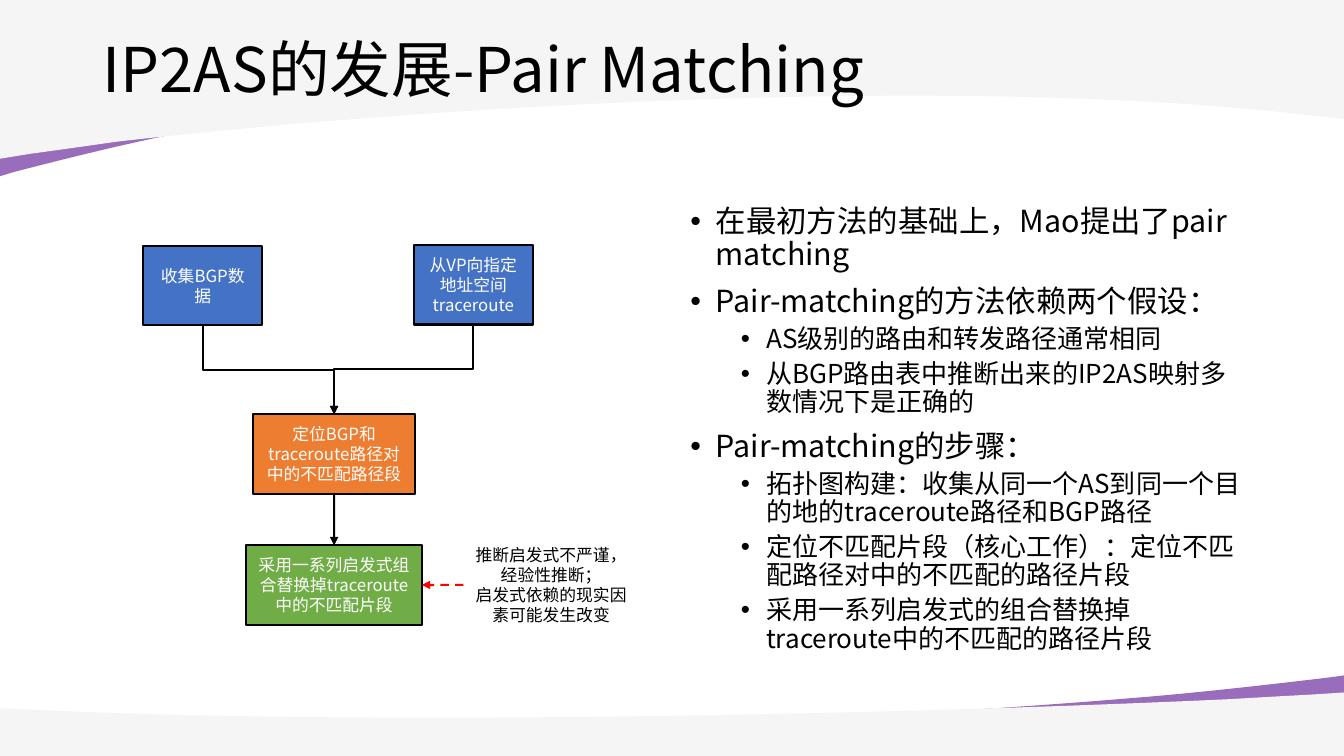
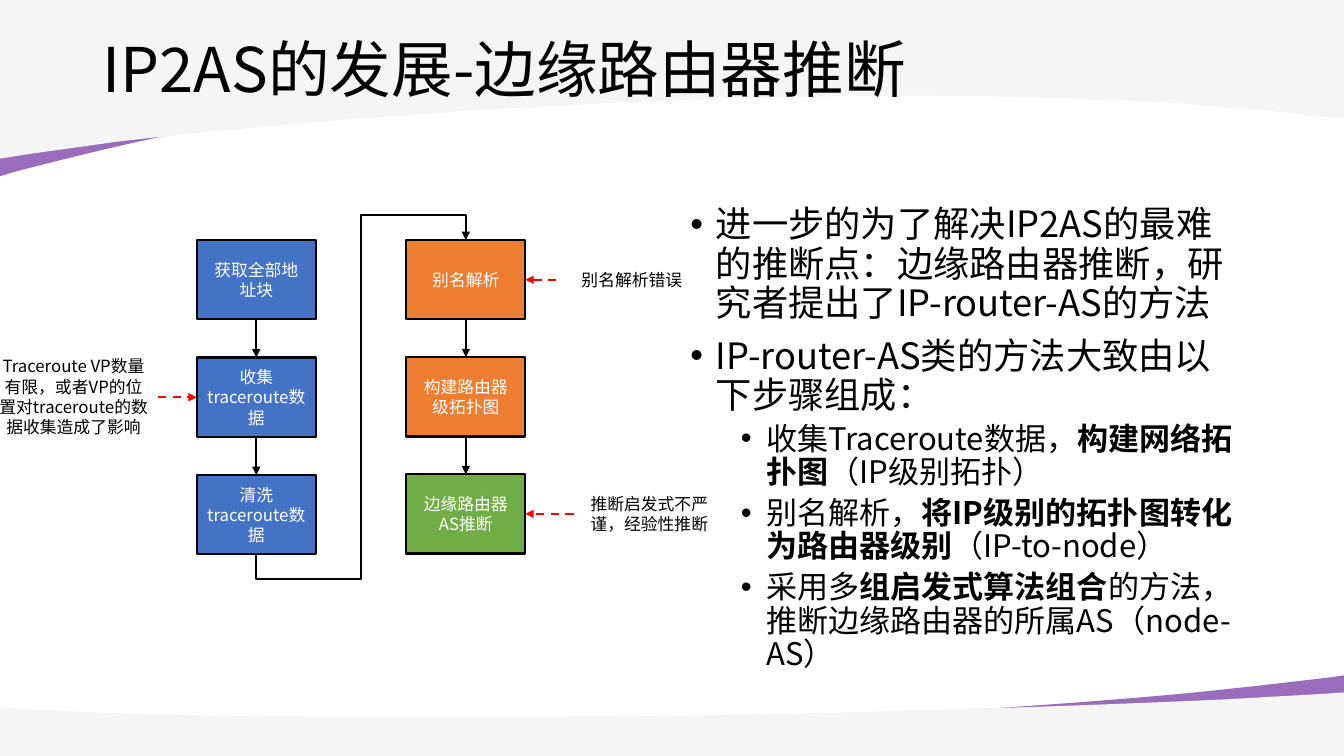
from lxml import etree
from pptx import Presentation
from pptx.dml.color import RGBColor
from pptx.enum.dml import MSO_LINE
from pptx.enum.shapes import MSO_CONNECTOR, MSO_SHAPE
from pptx.enum.text import MSO_ANCHOR, PP_ALIGN
from pptx.oxml.ns import qn
from pptx.util import Cm, Pt

STRAIGHT, ELBOW = MSO_CONNECTOR.STRAIGHT, MSO_CONNECTOR.ELBOW
RECTANGLE = MSO_SHAPE.RECTANGLE
DASH = MSO_LINE.DASH
LEFT_ALIGN, CENTER = PP_ALIGN.LEFT, PP_ALIGN.CENTER
TOP_ANCHOR, MIDDLE = MSO_ANCHOR.TOP, MSO_ANCHOR.MIDDLE
TOP, LEFT, BOTTOM, RIGHT = range(4)  # connection sites of a rectangle

PAGE_WIDTH, PAGE_HEIGHT = 33.87, 19.05
FONT, BULLET_FONT = "Noto Sans CJK SC", "Arial"
BLACK, WHITE, RED = "000000", "FFFFFF", "FF0000"
BLUE, ORANGE, GREEN = "4472C4", "ED7D31", "70AD47"
PURPLE, GREY = "7030A0", "F5F5F5"
BOX_WIDTH, BOX_HEIGHT = 3, 2

# Outlines in cm below the band's upper edge: points (2 numbers) or cubic curves (6)
PURPLE_BAND = [(33.87, 0), (33.87, 1.65), (0, 1.65), (0, 0.97),
               (7.65, 1.79, 20.83, 1.21, 28.43, 0.58),
               (29.95, 0.46, 31.67, 0.27, 33.51, 0.05)]
GREY_BAND = [(33.87, 0), (33.87, 1.6), (0, 1.6), (0, 0.4), (1.12, 0.45),
             (9.96, 0.85, 23.11, 0.53, 30.96, 0.17),
             (31.65, 0.13, 32.36, 0.09, 33.1, 0.05)]


def color(value):
    return RGBColor.from_string(value)


class SlideMaker:
    def __init__(self):
        self.deck = Presentation()
        self.deck.slide_width = Cm(PAGE_WIDTH)
        self.deck.slide_height = Cm(PAGE_HEIGHT)
        self.page = None

    def new_page(self, title):
        self.page = self.deck.slides.add_slide(self.deck.slide_layouts[6])
        if len(self.deck.slides) == 1:
            self.backdrop()
        # Title
        frame = self.text_box(2.34, 0, 29.21, 3.68, MIDDLE)
        para = frame.paragraphs[0]
        para.line_spacing = 0.9
        self.span(para, title, 44)

    def backdrop(self):
        """Curved bands for all pages: the bottom pair, and the pair turned round on top."""
        bands = [self.band(PURPLE_BAND, 17.02, 1, PURPLE, opacity=70),
                 self.band(GREY_BAND, 17.45, 1, GREY),
                 self.band(PURPLE_BAND, 4.44, -2.17, PURPLE, opacity=70),
                 self.band(GREY_BAND, 4, -2.5, GREY)]
        # The master has no freeform builder, so the finished bands move there
        for number, shape in enumerate(bands, 101):
            shape.element.nvSpPr.cNvPr.set("id", str(number))
            self.deck.slide_master.shapes._spTree.append(shape.element)

    def band(self, outline, base, stretch, fill, opacity=None):
        """A negative stretch turns the outline by half a circle."""
        segments = [[(Cm(x if stretch > 0 else PAGE_WIDTH - x), Cm(base + y * stretch))
                     for x, y in zip(segment[::2], segment[1::2])] for segment in outline]
        builder = self.page.shapes.build_freeform(*segments[0][0])
        builder.add_line_segments([segment[-1] for segment in segments[1:]], close=True)
        shape = builder.convert_to_shape()
        # Turn the lines that have control points into curves
        lines = shape.element.spPr.findall(".//" + qn("a:lnTo"))
        for line, segment in zip(lines, segments[1:]):
            if len(segment) == 3:
                curve = etree.Element(qn("a:cubicBezTo"))
                for x, y in segment:
                    etree.SubElement(curve, qn("a:pt"), x=str(x - shape.left),
                                     y=str(y - shape.top))
                line.getparent().replace(line, curve)
        shape.shadow.inherit = False
        shape.line.fill.background()
        shape.fill.solid()
        shape.fill.fore_color.rgb = color(fill)
        if opacity:
            tint = shape.element.spPr.find(".//" + qn("a:srgbClr"))
            etree.SubElement(tint, qn("a:alpha"), val=str(opacity * 1000))
        return shape

    def text_box(self, left, top, width, height, anchor=TOP_ANCHOR):
        shape = self.page.shapes.add_textbox(Cm(left), Cm(top), Cm(width), Cm(height))
        frame = shape.text_frame
        frame.word_wrap = True
        frame.vertical_anchor = anchor
        return frame

    def span(self, para, text, size, fill=BLACK, bold=False):
        run = para.add_run()
        run.text = text
        run.font.size = Pt(size)
        run.font.bold = bold
        run.font.color.rgb = color(fill)
        run.font.name = FONT
        etree.SubElement(run.font._element, qn("a:ea"), typeface=FONT)

    def centered(self, frame, lines, fill):
        for index, line in enumerate(lines):
            para = frame.add_paragraph() if index else frame.paragraphs[0]
            para.alignment = CENTER
            self.span(para, line, 12, fill)

    def bullets(self, items, sizes):
        """Items are (level, text); text between asterisks is bold."""
        frame = self.text_box(17.15, 5.08, 14.4, 12.09)
        for index, (level, text) in enumerate(items):
            para = frame.add_paragraph() if index else frame.paragraphs[0]
            para.level = level
            para.alignment = LEFT_ALIGN
            para.line_spacing = 0.9
            para.space_before = Pt((10, 5)[level])
            properties = para._p.get_or_add_pPr()
            properties.set("marL", str(Cm((0.64, 1.91)[level])))
            properties.set("indent", str(Cm(-0.64)))
            etree.SubElement(properties, qn("a:buFont"), typeface=BULLET_FONT)
            etree.SubElement(properties, qn("a:buChar"), char="•")
            for part, words in enumerate(text.split("*")):
                self.span(para, words, sizes[level], bold=part % 2 == 1)

    def box(self, text, left, top, fill, width=BOX_WIDTH):
        shape = self.page.shapes.add_shape(RECTANGLE, Cm(left), Cm(top),
                                           Cm(width), Cm(BOX_HEIGHT))
        shape.shadow.inherit = False
        shape.fill.solid()
        shape.fill.fore_color.rgb = color(fill)
        shape.line.color.rgb = color(BLACK)
        shape.line.width = Pt(1.5)
        shape.text_frame.word_wrap = True
        shape.text_frame.vertical_anchor = MIDDLE
        self.centered(shape.text_frame, [text], WHITE)
        return shape

    def column(self, left, top, pitch, steps):
        """Stack boxes at an equal pitch, each with an arrow to the next."""
        boxes = [self.box(text, left, top + row * pitch, fill)
                 for row, (text, fill) in enumerate(steps)]
        for upper, lower in zip(boxes, boxes[1:]):
            self.arrow(upper, BOTTOM, lower, TOP)
        return boxes

    def note(self, lines, left, top, width, height, target, side):
        """A remark with a dashed red arrow to one side of a box."""
        frame = self.text_box(left, top, width, height)
        self.centered(frame, lines, BLACK)
        remark = self.page.shapes[-1]
        link = self.arrow(remark, LEFT + RIGHT - side, target, side, RED)
        link.line.dash_style = DASH

    def arrow(self, source, source_side, target, target_side, fill=BLACK, kind=STRAIGHT):
        link = self.page.shapes.add_connector(kind, 0, 0, 0, 0)
        link.begin_connect(source, source_side)
        link.end_connect(target, target_side)
        link.line.color.rgb = color(fill)
        link.line.width = Pt(1.5)
        etree.SubElement(link.line._get_or_add_ln(), qn("a:tailEnd"), type="triangle")
        etree.SubElement(link.element.spPr, qn("a:effectLst"))
        return link

    def elbow(self, source, target, preset, bends):
        """A bent arrow that leaves downwards and enters the target from above."""
        link = self.arrow(source, BOTTOM, target, TOP, kind=ELBOW)
        start_x, start_y, end_x, end_y = link.begin_x, link.begin_y, link.end_x, link.end_y
        # The preset runs sideways, so it is turned by 90 degrees about its centre
        link.width, link.height = abs(end_y - start_y), abs(end_x - start_x)
        link.left = (start_x + end_x - link.width) // 2
        link.top = (start_y + end_y - link.height) // 2
        link.rotation = 90
        frame = link.element.spPr.find(qn("a:xfrm"))
        frame.set("flipH", str(int(end_y < start_y)))
        frame.set("flipV", str(int(end_x > start_x)))
        geometry = link.element.spPr.find(qn("a:prstGeom"))
        geometry.set("prst", preset)
        guides = geometry.find(qn("a:avLst"))
        if guides is None:
            guides = etree.SubElement(geometry, qn("a:avLst"))
        for number, bend in enumerate(bends, 1):
            etree.SubElement(guides, qn("a:gd"), name=f"adj{number}",
                             fmla=f"val {round(bend * 100000)}")


def pair_matching(maker):
    maker.new_page("IP2AS的发展-Pair Matching")
    maker.bullets([
        (0, "在最初方法的基础上，Mao提出了pair matching"),
        (0, "Pair-matching的方法依赖两个假设："),
        (1, "AS级别的路由和转发路径通常相同"),
        (1, "从BGP路由表中推断出来的IP2AS映射多数情况下是正确的"),
        (0, "Pair-matching的步骤："),
        (1, "拓扑图构建：收集从同一个AS到同一个目的地的traceroute路径和BGP路径"),
        (1, "定位不匹配片段（核心工作）：定位不匹配路径对中的不匹配的路径片段"),
        (1, "采用一系列启发式的组合替换掉traceroute中的不匹配的路径片段"),
    ], (21.7, 18.6))
    # Flow chart
    collect = maker.box("收集BGP数据", 3.61, 6.2, BLUE)
    probe = maker.box("从VP向指定地址空间traceroute", 10.43, 6.18, BLUE)
    locate = maker.box("定位BGP和traceroute路径对中的不匹配路径段", 6.37, 10.44, ORANGE, 4.1)
    replace = maker.box("采用一系列启发式组合替换掉traceroute中的不匹配片段",
                        6.21, 13.74, GREEN, 4.42)
    for source in (collect, probe):
        maker.elbow(source, locate, "bentConnector3", [0.5])
    maker.arrow(locate, BOTTOM, replace, TOP)
    maker.note(["推断启发式不严谨，经验性推断；", "启发式依赖的现实因素可能发生改变"],
               11.68, 13.59, 4.42, 2.3, replace, RIGHT)


def border_routers(maker):
    maker.new_page("IP2AS的发展-边缘路由器推断")
    maker.bullets([
        (0, "进一步的为了解决IP2AS的最难的推断点：边缘路由器推断，研究者提出了IP-router-AS的方法"),
        (0, "IP-router-AS类的方法大致由以下步骤组成："),
        (1, "收集Traceroute数据，*构建网络拓扑图*（IP级别拓扑）"),
        (1, "别名解析，*将IP级别的拓扑图转化为路由器级别*（IP-to-node）"),
        (1, "采用多*组启发式算法组合*的方法，推断边缘路由器的所属AS（node-AS）"),
    ], (25.9, 22.2))
    # Flow chart
    first, collect, clean = maker.column(4.96, 6.05, 2.96, [
        ("获取全部地址块", BLUE), ("收集traceroute数据", BLUE), ("清洗traceroute数据", BLUE)])
    alias, topology, infer = maker.column(10.24, 6.05, 2.95, [
        ("别名解析", ORANGE), ("构建路由器级拓扑图", ORANGE), ("边缘路由器AS推断", GREEN)])
    maker.elbow(clean, alias, "bentConnector5", [-0.08, 0.5, 1.08])
    # Remarks
    maker.note(["Traceroute VP数量有限，或者VP的位置对traceroute的数据收集造成了影响"],
               -0.27, 8.85, 4.25, 2.32, collect, LEFT)
    maker.note(["别名解析错误"], 14.02, 6.67, 3.81, 0.76, alias, RIGHT)
    maker.note(["推断启发式不严谨，经验性推断"], 14.46, 12.31, 3.81, 1.28, infer, RIGHT)


def main():
    maker = SlideMaker()
    pair_matching(maker)
    border_routers(maker)
    maker.deck.save("out.pptx")


if __name__ == "__main__":
    main()
